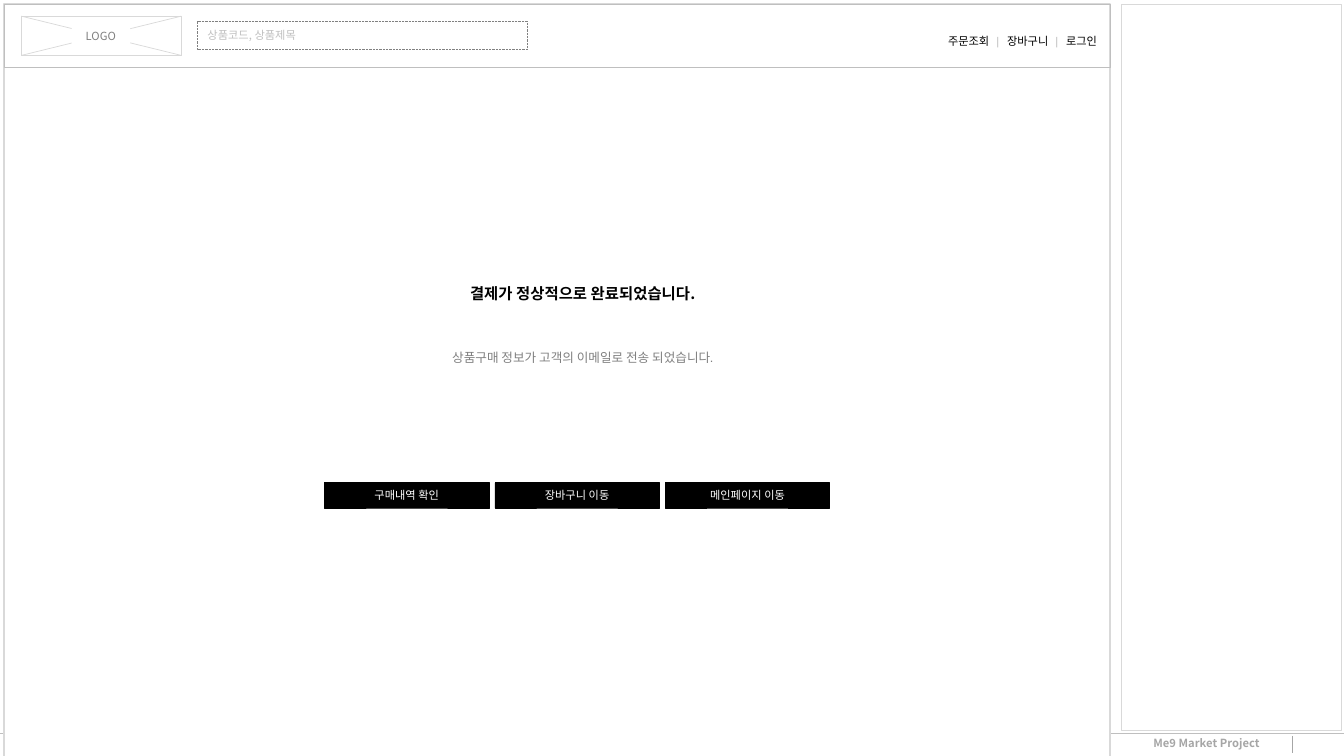
from dataclasses import dataclass

import lxml.etree
import pptx
import pptx.dml.color
import pptx.enum.dml
import pptx.enum.shapes
import pptx.enum.text
import pptx.oxml.ns
import pptx.util

Inches = pptx.util.Inches
ALIGN = pptx.enum.text.PP_ALIGN
ANCHOR = pptx.enum.text.MSO_ANCHOR


@dataclass(frozen=True)
class Theme:
    font: str = "Noto Sans CJK KR"
    latin: str = "Arial"
    white: str = "FFFFFF"
    black: str = "000000"
    frame: str = "D9D9D9"
    rule: str = "BFBFBF"
    muted: str = "A6A6A6"
    gray: str = "808080"
    small: int = 8
    body: int = 9
    heading: int = 11
    hairline: float = 0.25
    thin: float = 0.5
    outline: float = 1
    menu_spacing: int = 320


THEME = Theme()


def rgb(color):
    return pptx.dml.color.RGBColor.from_string(color)


def qn(tag):
    return pptx.oxml.ns.qn(tag)


def add_rect(slide, box, fill=None, line=None, weight=THEME.hairline):
    rect = slide.shapes.add_shape(
        pptx.enum.shapes.MSO_SHAPE.RECTANGLE, *map(Inches, box))
    rect.shadow.inherit = False
    if fill:
        rect.fill.solid()
        rect.fill.fore_color.rgb = rgb(fill)
    else:
        rect.fill.background()
    if line:
        rect.line.color.rgb = rgb(line)
        rect.line.width = pptx.util.Pt(weight)
    else:
        rect.line.fill.background()
    return rect


def add_line(slide, start, end, color, weight=THEME.hairline):
    line = slide.shapes.add_connector(
        pptx.enum.shapes.MSO_CONNECTOR.STRAIGHT, *map(Inches, start + end))
    line.line.color.rgb = rgb(color)
    line.line.width = pptx.util.Pt(weight)
    properties = line.line._get_or_add_ln().getparent()
    lxml.etree.SubElement(properties, qn("a:effectLst"))


def add_run(paragraph, text, color, size=THEME.small, font=THEME.font,
            bold=False, spacing=None):
    run = paragraph.add_run()
    run.text = text
    run.font.size = pptx.util.Pt(size)
    run.font.bold = bold
    run.font.color.rgb = rgb(color)
    run.font.name = font
    properties = run._r.get_or_add_rPr()
    east_asian = lxml.etree.SubElement(properties, qn("a:ea"))
    east_asian.set("typeface", THEME.font)
    if spacing:
        properties.set("spc", str(spacing))


def first_paragraph(shape, align=ALIGN.LEFT, anchor=ANCHOR.TOP, wrap=True):
    shape.text_frame.word_wrap = wrap
    shape.text_frame.vertical_anchor = anchor
    paragraph = shape.text_frame.paragraphs[0]
    paragraph.alignment = align
    return paragraph


def add_text(slide, box, align=ALIGN.LEFT, wrap=False):
    text_box = slide.shapes.add_textbox(*map(Inches, box))
    text_box.text_frame.auto_size = (
        pptx.enum.text.MSO_AUTO_SIZE.SHAPE_TO_FIT_TEXT)
    return first_paragraph(text_box, align, wrap=wrap)


def draw_footer(slide, box):
    left, top, width, height = box
    add_line(slide, (left, top), (left + width, top), THEME.rule)
    project = add_text(slide, (left + 11.34, top - 0.01, 1.4, 0.24), wrap=True)
    add_run(project, "Me9 Market Project", THEME.muted, bold=True)
    divider = left + 12.82
    add_line(slide, (divider, top + 0.03), (divider, top + height - 0.03),
             THEME.muted)


def draw_frames(slide, page, notes):
    add_rect(slide, page, THEME.white, THEME.frame, THEME.outline)
    add_rect(slide, notes, line=THEME.frame)


def draw_logo(slide, box):
    left, top, width, height = box
    right, bottom = left + width, top + height
    add_rect(slide, box, THEME.white, THEME.frame, THEME.thin)
    add_line(slide, (left, bottom), (right, top), THEME.frame, THEME.thin)
    add_line(slide, (left, top), (right, bottom), THEME.frame, THEME.thin)
    label = add_rect(slide, (left + 0.5, top + 0.08, 0.58, 0.24), THEME.white)
    add_run(first_paragraph(label, ALIGN.CENTER), "LOGO", THEME.gray)


def draw_menu(slide, box):
    menu = add_text(slide, box, ALIGN.RIGHT)
    menu.line_spacing = 1.5
    gap = THEME.menu_spacing
    for index, item in enumerate(("주문조회", "장바구니", "로그인")):
        if index:
            for mark, spacing in ((" ", gap), ("|", None), (" ", gap)):
                add_run(menu, mark, THEME.rule, font=THEME.latin,
                        spacing=spacing)
        add_run(menu, item, THEME.black, font=THEME.latin)


def draw_header(slide, box):
    left, top, width, height = box
    add_rect(slide, box, line=THEME.rule)
    draw_logo(slide, (left + 0.17, top + 0.12, 1.59, 0.39))
    draw_menu(slide, (left + width - 1.84, top + 0.18, 1.81, 0.28))
    search = add_rect(slide, (left + 1.92, top + 0.17, 3.27, 0.28),
                      THEME.white, THEME.gray, THEME.thin)
    search.line.dash_style = pptx.enum.dml.MSO_LINE.ROUND_DOT
    add_run(first_paragraph(search, anchor=ANCHOR.MIDDLE),
            "상품코드, 상품제목", THEME.rule)


def draw_message(slide, box):
    left, top, width, height = box
    heading = add_text(slide, (left, top, width, 0.29), ALIGN.CENTER)
    add_run(heading, "결제가 정상적으로 완료되었습니다.", THEME.black,
            THEME.heading, bold=True)
    detail = add_text(slide, (left, top + height - 0.25, width, 0.25),
                      ALIGN.CENTER)
    add_run(detail, "상품구매 정보가 고객의 이메일로 전송 되었습니다.",
            THEME.gray, THEME.body, THEME.latin)


def draw_buttons(slide, box):
    left, top, width, height = box
    actions = ("구매내역 확인", "장바구니 이동", "메인페이지 이동")
    gap = 0.06
    button_width = (width - gap * (len(actions) - 1)) / len(actions)
    for index, action in enumerate(actions):
        x = left + index * (button_width + gap)
        button = add_rect(slide, (x, top, button_width, height),
                          THEME.black, THEME.black, THEME.thin)
        add_run(first_paragraph(button, ALIGN.CENTER, ANCHOR.MIDDLE),
                action, THEME.white)


def main():
    presentation = pptx.Presentation()
    presentation.slide_width = Inches(13.33)
    presentation.slide_height = Inches(7.5)
    slide = presentation.slides.add_slide(presentation.slide_layouts[6])
    draw_footer(slide, (0, 7.27, 13.33, 0.23))
    draw_frames(slide, (0.04, 0.04, 10.97, 8.25), (11.12, 0.04, 2.18, 7.2))
    draw_header(slide, (0.04, 0.04, 10.97, 0.63))
    draw_message(slide, (4.23, 2.77, 3.1, 0.9))
    draw_buttons(slide, (3.22, 4.79, 5.01, 0.25))
    presentation.save("out.pptx")


if __name__ == "__main__":
    main()
